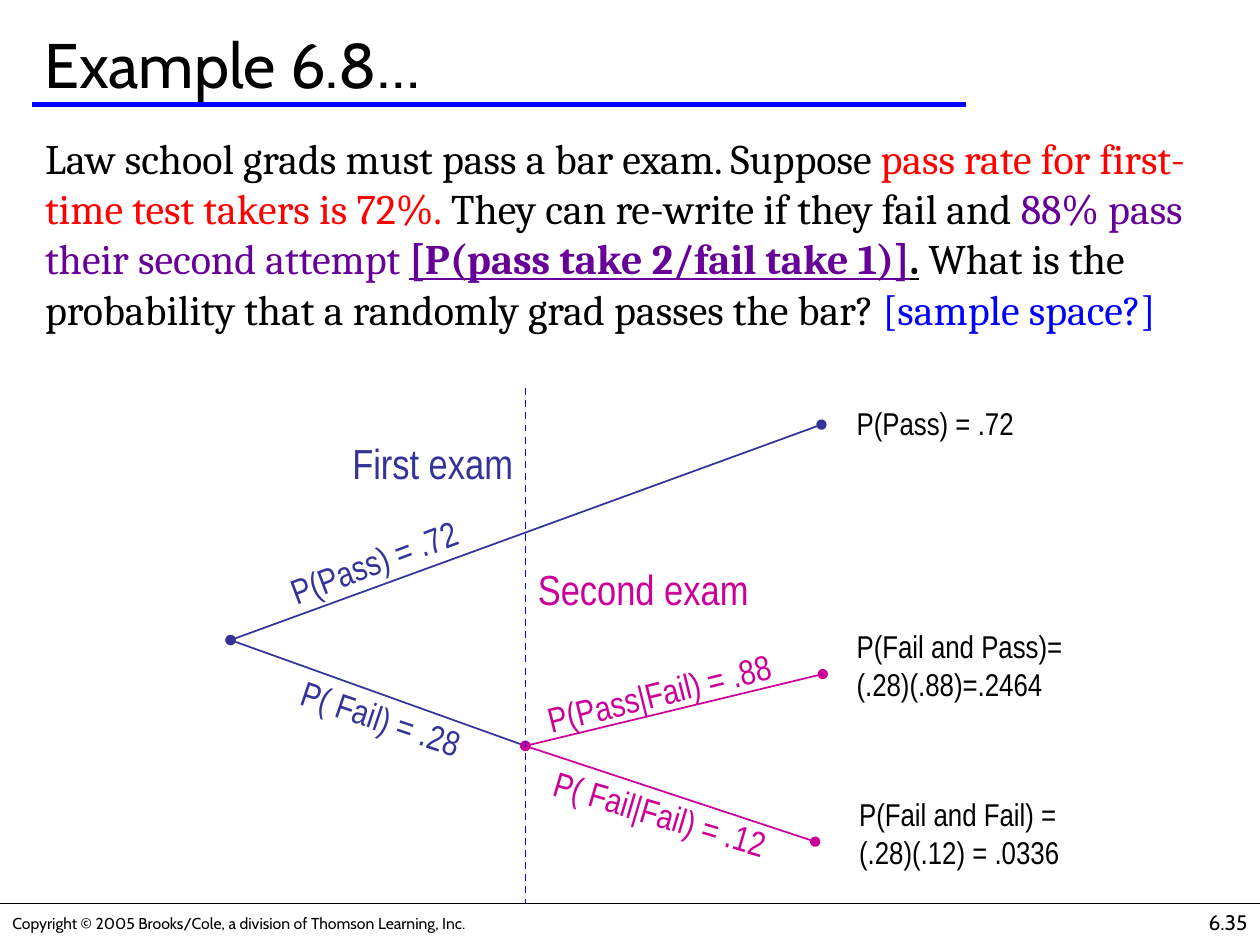
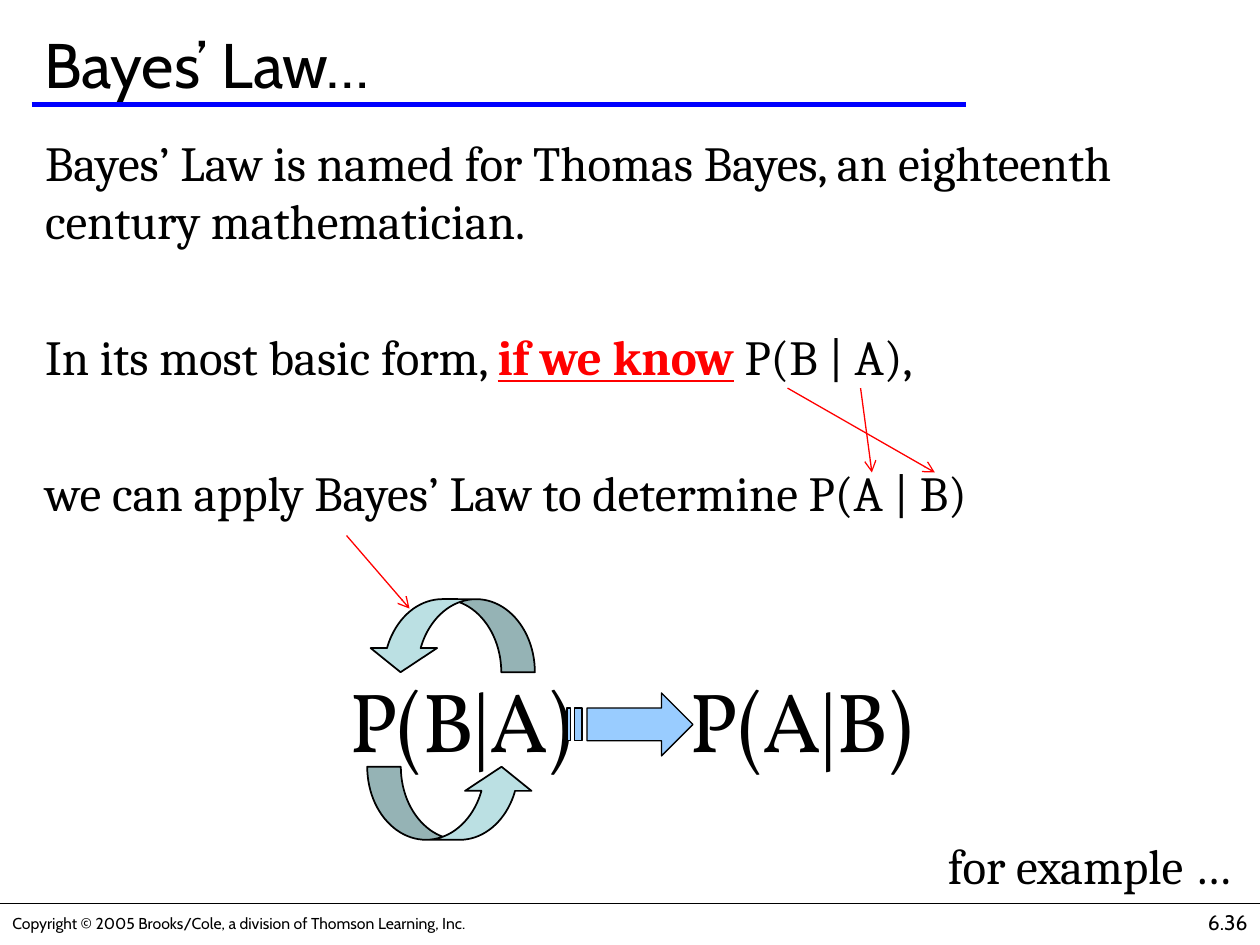
"""Build two probability slides: a bar exam tree and Bayes' Law."""
from dataclasses import dataclass
from typing import NamedTuple, Optional, Sequence, Union

import pptx
import pptx.dml.color
import pptx.enum.dml
import pptx.enum.shapes
import pptx.enum.text
import pptx.oxml
import pptx.oxml.ns
import pptx.util

EMU_PER_PX = 9144
ALIGN = pptx.enum.text.PP_ALIGN
ANCHOR = pptx.enum.text.MSO_ANCHOR


@dataclass(frozen=True)
class Theme:
    """Colours, fonts and type sizes of the deck."""
    black: str = "000000"
    white: str = "FFFFFF"
    blue: str = "0000FF"
    red: str = "FF0000"
    purple: str = "660099"
    first_exam: str = "333399"
    second_exam: str = "CC0099"
    swap: str = "BBE0E3"
    result: str = "99CCFF"
    heading_font: str = "Cabin"
    body_font: str = "Cambria"
    tree_font: str = "Arial Narrow"
    formula_font: str = "Vollkorn"
    title_size: int = 36
    formula_size: int = 48
    statement_size: int = 28
    body_size: int = 24
    branch_size: int = 20
    outcome_size: int = 18
    number_size: int = 12
    copyright_size: int = 9


THEME = Theme()


class Box(NamedTuple):
    """Left, top, width and height in px."""
    left: int
    top: int
    width: int
    height: int


class Point(NamedTuple):
    """Place on the slide in px."""
    x: int
    y: int


class Span(NamedTuple):
    """Stretch of text with its own colour or emphasis."""
    text: str
    color: Optional[str] = None
    strong: bool = False
    underline: bool = False


class Branch(NamedTuple):
    """Line of the tree with its tilted label."""
    start: Point
    end: Point
    color: str
    label: str
    label_box: Box
    tilt: float
    wrap: bool = False


class Outcome(NamedTuple):
    """Joint probability at the end of a path."""
    text: str
    box: Box


Paragraph = Union[str, Sequence[Span]]


def px(length: int) -> pptx.util.Emu:
    """Turn px into EMU."""
    return pptx.util.Emu(length * EMU_PER_PX)


def rgb(color: str) -> pptx.dml.color.RGBColor:
    """Turn a hex string into a colour."""
    return pptx.dml.color.RGBColor.from_string(color)


def place(box: Box) -> list:
    """Give the four lengths of a box in EMU."""
    return [px(length) for length in box]


def write_text(frame, paragraphs: Sequence[Paragraph], *, size: int, font: str,
               color: str = THEME.black, align=ALIGN.LEFT, anchor=ANCHOR.TOP,
               wrap: bool = True, gap: int = 0, centre_stops: Sequence[int] = ()) -> None:
    """Fill a text frame with formatted paragraphs."""
    auto = pptx.enum.text.MSO_AUTO_SIZE
    frame.word_wrap = wrap
    frame.auto_size = auto.NONE if wrap else auto.SHAPE_TO_FIT_TEXT
    frame.vertical_anchor = anchor
    for index, content in enumerate(paragraphs):
        paragraph = frame.add_paragraph() if index else frame.paragraphs[0]
        paragraph.alignment = align
        paragraph.space_before = pptx.util.Pt(gap if index else 0)
        if centre_stops:
            stops = pptx.oxml.parse_xml(f'<a:tabLst {pptx.oxml.ns.nsdecls("a")}/>')
            for stop in centre_stops:
                stops.append(pptx.oxml.parse_xml(
                    f'<a:tab {pptx.oxml.ns.nsdecls("a")} pos="{px(stop)}" algn="ctr"/>'))
            paragraph._p.get_or_add_pPr().append(stops)
        for span in [Span(content)] if isinstance(content, str) else content:
            run = paragraph.add_run()
            run.text = span.text
            run.font.name = font
            run.font.size = pptx.util.Pt(size)
            run.font.bold = span.strong
            run.font.underline = span.underline
            run.font.color.rgb = rgb(span.color or color)


def add_text(slide, box: Box, paragraphs: Sequence[Paragraph], *, tilt: float = 0,
             fill: Optional[str] = None, **text_format) -> None:
    """Add a text box, tilted or filled if asked."""
    text_box = slide.shapes.add_textbox(*place(box))
    text_box.rotation = tilt
    if fill:
        text_box.fill.solid()
        text_box.fill.fore_color.rgb = rgb(fill)
    write_text(text_box.text_frame, paragraphs, **text_format)


def add_line(slide, start: Point, end: Point, color: str, width: float, *,
             dashed: bool = False, head: Optional[str] = None,
             tail: Optional[str] = None) -> None:
    """Add a straight line with optional dashes and end marks."""
    line = slide.shapes.add_connector(pptx.enum.shapes.MSO_CONNECTOR.STRAIGHT,
                                      *map(px, (*start, *end)))
    line.line.color.rgb = rgb(color)
    line.line.width = pptx.util.Pt(width)
    if dashed:
        line.line.dash_style = pptx.enum.dml.MSO_LINE.DASH
    namespace = pptx.oxml.ns.nsdecls("a")
    outline = line.line._get_or_add_ln()
    for end_name, mark in (("headEnd", head), ("tailEnd", tail)):
        if mark:
            outline.append(pptx.oxml.parse_xml(f'<a:{end_name} {namespace} type="{mark}"/>'))
    line._element.spPr.append(pptx.oxml.parse_xml(f"<a:effectLst {namespace}/>"))


def style_shape(shape, fill: str, width: float) -> None:
    """Give a shape a plain fill and a black outline."""
    shape.shadow.inherit = False
    shape.fill.solid()
    shape.fill.fore_color.rgb = rgb(fill)
    shape.line.color.rgb = rgb(THEME.black)
    shape.line.width = pptx.util.Pt(width)


def add_slide(deck, title: str, number: str):
    """Add a slide with title, rules, copyright line and page number."""
    slide = deck.slides.add_slide(deck.slide_layouts[5])
    add_text(slide, Box(0, 720, 478, 25),
             ["Copyright © 2005 Brooks/Cole, a division of Thomson Learning, Inc."],
             size=THEME.copyright_size, font=THEME.heading_font, anchor=ANCHOR.MIDDLE)
    add_line(slide, Point(0, 717), Point(1000, 717), THEME.black, 0.75)
    add_line(slide, Point(25, 83), Point(767, 83), THEME.blue, 2.5)
    add_text(slide, Box(792, 717, 208, 33), [number], size=THEME.number_size,
             font=THEME.heading_font, align=ALIGN.RIGHT)
    heading = slide.shapes.title
    heading.left, heading.top, heading.width, heading.height = place(Box(25, 17, 958, 67))
    write_text(heading.text_frame, [title], size=THEME.title_size,
               font=THEME.heading_font, anchor=ANCHOR.MIDDLE)
    return slide


BODY = Box(26, 100, 974, 600)
ROOT, RETAKE = Point(183, 508), Point(417, 592)

BRANCHES = (
    Branch(RETAKE, ROOT, THEME.first_exam, "P( Fail) = .28", Box(227, 548, 151, 43), 18.7),
    Branch(ROOT, Point(652, 337), THEME.first_exam, "P(Pass) = .72",
           Box(217, 424, 159, 43), 339.5),
    Branch(Point(647, 668), RETAKE, THEME.second_exam, "P( Fail|Fail) = .12",
           Box(427, 624, 194, 43), 16.6, wrap=True),
    Branch(RETAKE, Point(653, 535), THEME.second_exam, "P(Pass|Fail) = .88",
           Box(422, 528, 202, 43), 346.1),
)

OUTCOMES = (
    Outcome("P(Pass) = .72", Box(670, 316, 145, 40)),
    Outcome("P(Fail and Pass)=\n(.28)(.88)=.2464", Box(670, 493, 184, 70)),
    Outcome("P(Fail and Fail) =\n(.28)(.12) = .0336", Box(672, 626, 183, 70)),
)


def build_exam_tree(deck) -> None:
    """Draw the bar exam question and its probability tree."""
    slide = add_slide(deck, "Example 6.8…", "6.35")
    question = [
        Span("Law school grads must pass a bar exam. Suppose "),
        Span("pass rate for first-time test takers is 72%.", THEME.red),
        Span(" They can re-write if they fail and "),
        Span("88% pass their second attempt ", THEME.purple),
        Span("[P(pass take 2/fail take 1)]", THEME.purple, True, True),
        Span(".", strong=True, underline=True),
        Span(" What is the probability that a randomly grad passes the bar? "),
        Span("[sample space?]", THEME.blue),
    ]
    add_text(slide, BODY, [question], size=THEME.body_size, font=THEME.body_font)
    for outcome in OUTCOMES:
        add_text(slide, outcome.box, outcome.text.split("\n"), fill=THEME.white,
                 size=THEME.outcome_size, font=THEME.tree_font, wrap=False)
    for branch in BRANCHES:
        add_line(slide, branch.start, branch.end, branch.color, 1, head="oval", tail="oval")
        add_text(slide, branch.label_box, [branch.label], tilt=branch.tilt,
                 size=THEME.branch_size, font=THEME.tree_font, color=branch.color,
                 align=ALIGN.CENTER, wrap=branch.wrap)
    for exam, box, color, align in (
            ("First exam", Box(192, 342, 225, 50), THEME.first_exam, ALIGN.RIGHT),
            ("Second exam", Box(417, 442, 242, 50), THEME.second_exam, ALIGN.LEFT)):
        add_text(slide, box, [exam], size=THEME.body_size, font=THEME.tree_font,
                 color=color, align=align)
    add_line(slide, Point(417, 308), Point(417, 717), THEME.blue, 1, dashed=True)


def add_result_arrow(slide) -> None:
    """Draw the striped arrow from the known to the wanted probability."""
    top, bottom = 562, 588
    builder = slide.shapes.build_freeform(525, 550, scale=EMU_PER_PX)
    builder.add_line_segments([(525, top), (466, top), (466, bottom), (525, bottom),
                               (525, 600), (550, 575)])
    for left, right in ((456, 462), (450, 453)):
        builder.move_to(left, top)
        builder.add_line_segments([(left, bottom), (right, bottom), (right, top)])
    style_shape(builder.convert_to_shape(), THEME.result, 0.75)


def build_bayes_law(deck) -> None:
    """Draw the statement of Bayes' Law and the swap of A and B."""
    slide = add_slide(deck, "Bayes’ Law…", "6.36")
    statement = [
        "Bayes’ Law is named for Thomas Bayes, an eighteenth century mathematician.",
        [Span("In its most basic form, "), Span("if we know", THEME.red, True, True),
         Span(" P(B | A),")],
        "we can apply Bayes’ Law to determine P(A | B)",
    ]
    add_text(slide, BODY, statement, size=THEME.statement_size, font=THEME.body_font, gap=44)
    add_text(slide, Box(75, 508, 850, 125), ["\tP(B|A)\tP(A|B)"], size=THEME.formula_size,
             font=THEME.formula_font, anchor=ANCHOR.MIDDLE, centre_stops=(281, 551))
    for top, turn in ((438, 90), (571, 270)):
        swap = slide.shapes.add_shape(pptx.enum.shapes.MSO_SHAPE.CURVED_RIGHT_ARROW,
                                      *place(Box(329, top, 58, 133)))
        swap.rotation = turn
        for index, ratio in enumerate((0.46, 0.91, 0.33)):
            swap.adjustments[index] = ratio
        style_shape(swap, THEME.swap, 1)
    add_result_arrow(slide)
    add_text(slide, Box(737, 658, 255, 57), ["for example …"], size=THEME.statement_size,
             font=THEME.body_font, align=ALIGN.CENTER, anchor=ANCHOR.MIDDLE, wrap=False)
    for start, end in ((Point(275, 425), Point(325, 483)),
                       (Point(625, 308), Point(742, 375)),
                       (Point(683, 308), Point(692, 375))):
        add_line(slide, start, end, THEME.red, 0.75, tail="arrow")


def main() -> None:
    """Build and save the deck."""
    deck = pptx.Presentation()
    deck.slide_width, deck.slide_height = px(1000), px(750)
    build_exam_tree(deck)
    build_bayes_law(deck)
    deck.save("out.pptx")


if __name__ == "__main__":
    main()
